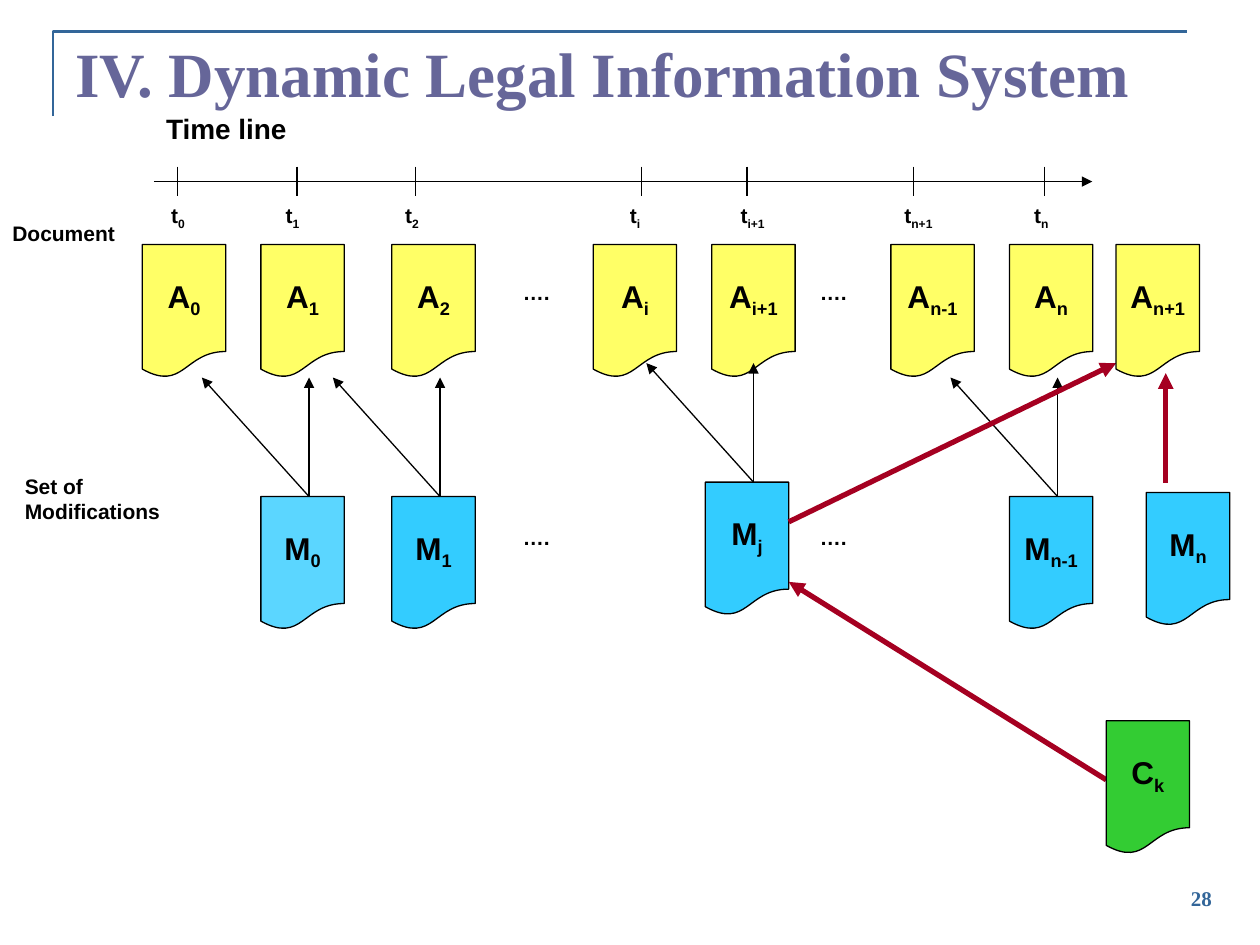
from lxml.etree import SubElement
from pptx import Presentation
from pptx.dml.color import RGBColor
from pptx.enum.shapes import MSO_CONNECTOR as Link, MSO_SHAPE as Preset
from pptx.enum.text import MSO_ANCHOR as Anchor, PP_ALIGN as Align
from pptx.oxml.ns import qn
from pptx.util import Cm, Pt

COLORS = {
    "ink": "000000", "rule": "336699", "title": "666699", "document": "FFFF66",
    "modification": "33CCFF", "correction": "33CC33", "effect": "A50021",
}
SHEET_W, SHEET_H = 1.68, 2.69


def rgb(name):
    return RGBColor.from_string(COLORS[name])


def write(frame, text, size=12, font="Arial", color="ink", align=Align.LEFT,
          anchor=Anchor.TOP, wrap=False):
    """Fill a frame with bold text; what follows "_" becomes a subscript."""
    frame.word_wrap = wrap
    frame.vertical_anchor = anchor
    paragraph = frame.paragraphs[0]
    paragraph.alignment = align
    base, _, subscript = text.partition("_")
    for part in filter(None, (base, subscript)):
        run = paragraph.add_run()
        run.text = part
        run.font.size, run.font.name, run.font.bold = Pt(size), font, True
        run.font.color.rgb = rgb(color)
    if subscript:
        run.font._element.set("baseline", "-25000")


def add_label(slide, text, left, top, width, height=0.76, **style):
    box = slide.shapes.add_textbox(Cm(left), Cm(top), Cm(width), Cm(height))
    write(box.text_frame, text, **style)


def add_sheet(slide, text, left, top, color, opacity=None):
    sheet = slide.shapes.add_shape(Preset.FLOWCHART_DOCUMENT, Cm(left), Cm(top),
                                   Cm(SHEET_W), Cm(SHEET_H))
    sheet.shadow.inherit = False
    sheet.fill.solid()
    sheet.fill.fore_color.rgb = rgb(color)
    sheet.line.color.rgb, sheet.line.width = rgb("ink"), Pt(0.75)
    if opacity:
        fill_color = sheet._element.spPr.find(qn("a:solidFill"))[0]
        SubElement(fill_color, qn("a:alpha")).set("val", str(opacity * 1000))
    write(sheet.text_frame, text, size=18, align=Align.CENTER, anchor=Anchor.MIDDLE)


def add_line(slide, start, end, color="ink", width=0.75, arrow=True):
    line = slide.shapes.add_connector(Link.STRAIGHT, *map(Cm, (*start, *end)))
    line.line.color.rgb, line.line.width = rgb(color), Pt(width)
    if arrow:
        SubElement(line.line._get_or_add_ln(), qn("a:tailEnd")).set("type", "triangle")
    SubElement(line._element.spPr, qn("a:effectLst"))


def draw_header(slide, left, top, width, height):
    corner = slide.shapes.build_freeform(Cm(left), Cm(top + height))
    corner.add_line_segments([(Cm(left), Cm(top)), (Cm(left + width), Cm(top))], close=False)
    rule = corner.convert_to_shape()
    rule.shadow.inherit = False
    rule.fill.background()
    rule.line.color.rgb, rule.line.width = rgb("rule"), Pt(1.5)
    add_label(slide, "IV. Dynamic Legal Information System", left + 0.2, top - 0.21,
              width + 0.64, 1.91, size=36, font="Times New Roman", color="title",
              anchor=Anchor.BOTTOM, wrap=True)


def draw_timeline(slide, left, top, width):
    axis = top + 1.53
    add_label(slide, "Time line", left, top, 2.95, 0.94, size=16)
    add_line(slide, (left, axis), (left + width, axis))
    # moment, tick offset, label offset, label width
    moments = [
        ("t_0", 0.48, 0.1, 0.79), ("t_1", 2.89, 2.41, 0.79), ("t_2", 5.28, 4.82, 0.79),
        ("t_i", 9.83, 9.35, 0.71), ("t_i+1", 11.96, 11.58, 0.99),
        ("t_n+1", 15.32, 14.88, 1.07), ("t_n", 17.96, 17.5, 0.79),
    ]
    for moment, tick, label, label_width in moments:
        add_line(slide, (left + tick, axis - 0.3), (left + tick, axis + 0.3), arrow=False)
        add_label(slide, moment, left + label, axis + 0.3, label_width, 0.84)


def draw_ellipses(slide, left, top):
    for offset in (0, 5.99):
        add_label(slide, "….", left + offset, top, 1.04)


def draw_documents(slide, left, top):
    add_label(slide, "Document", left, top - 0.61, 2.57)
    versions = {"A_0": 2.87, "A_1": 5.26, "A_2": 7.9, "A_i": 11.96, "A_i+1": 14.35,
                "A_n-1": 17.96, "A_n": 20.35}
    for version, offset in versions.items():
        add_sheet(slide, version, left + offset, top, "document")
    draw_ellipses(slide, left + 10.29, top + 0.58)


def draw_modifications(slide, left, top):
    """Each modification points to the version it changes and to the next one."""
    add_label(slide, "Set of Modifications", left + 0.25, top - 0.59, 4.52)
    modifications = [("M_0", 5.26, 0, 80), ("M_1", 7.9, 0, None),
                     ("M_j", 14.22, -0.29, None), ("M_n-1", 20.35, 0, None)]
    for name, dx, dy, opacity in modifications:
        x, y = left + dx, top + dy
        add_sheet(slide, name, x, y, "modification", opacity)
        for shift in (-2.16, 0):
            add_line(slide, (x + 0.97, y), (x + 0.97 + shift, y - 2.4))
    draw_ellipses(slide, left + 10.29, top + 0.43)


def draw_correction(slide, left, top):
    """The correction C changes an earlier modification, which yields a new version."""
    effects = [((8.08, 10.79), (SHEET_W, 6.8)), ((SHEET_W, 5.59), (8.28, 2.39)),
               ((9.28, 4.8), (9.28, 2.59))]
    for start, end in effects:
        add_line(slide, (left + start[0], top + start[1]), (left + end[0], top + end[1]),
                 color="effect", width=3)
    sheets = [("C_k", 8.08, 9.6, "correction"), ("A_n+1", 8.28, 0, "document"),
              ("M_n", 8.89, 5, "modification")]
    for name, dx, dy, color in sheets:
        add_sheet(slide, name, left + dx, top + dy, color)


def main():
    deck = Presentation()
    deck.slide_width, deck.slide_height = Cm(25.4), Cm(19.05)
    slide = deck.slides.add_slide(deck.slide_layouts[6])
    draw_header(slide, 1.07, 0.64, 22.86, 1.7)
    draw_timeline(slide, 3.1, 2.13, 18.92)
    draw_documents(slide, 0, 4.93)
    draw_modifications(slide, 0, 10.01)
    draw_correction(slide, 14.22, 4.93)
    add_label(slide, "28", 20.9, 17.73, 3.78, 0.84, font="Times New Roman",
              color="rule", align=Align.RIGHT, wrap=True)
    deck.save("out.pptx")


if __name__ == "__main__":
    main()
